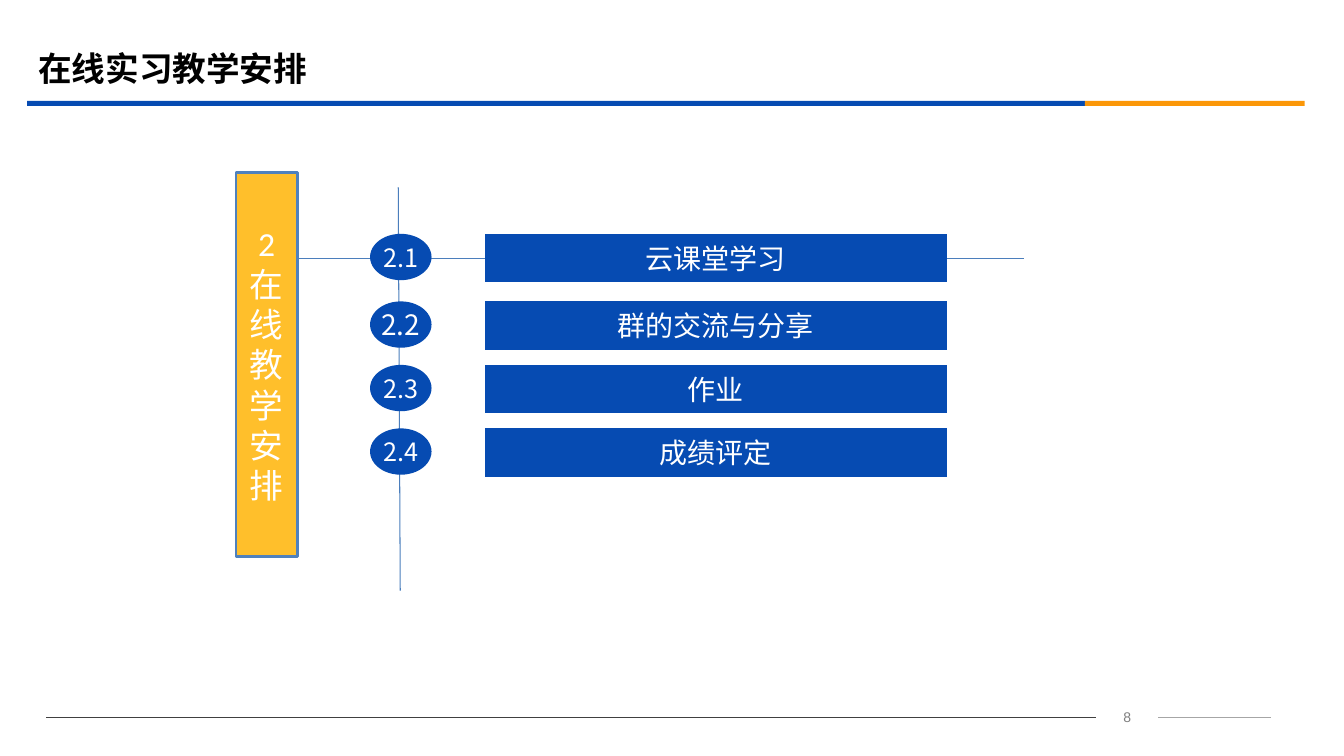
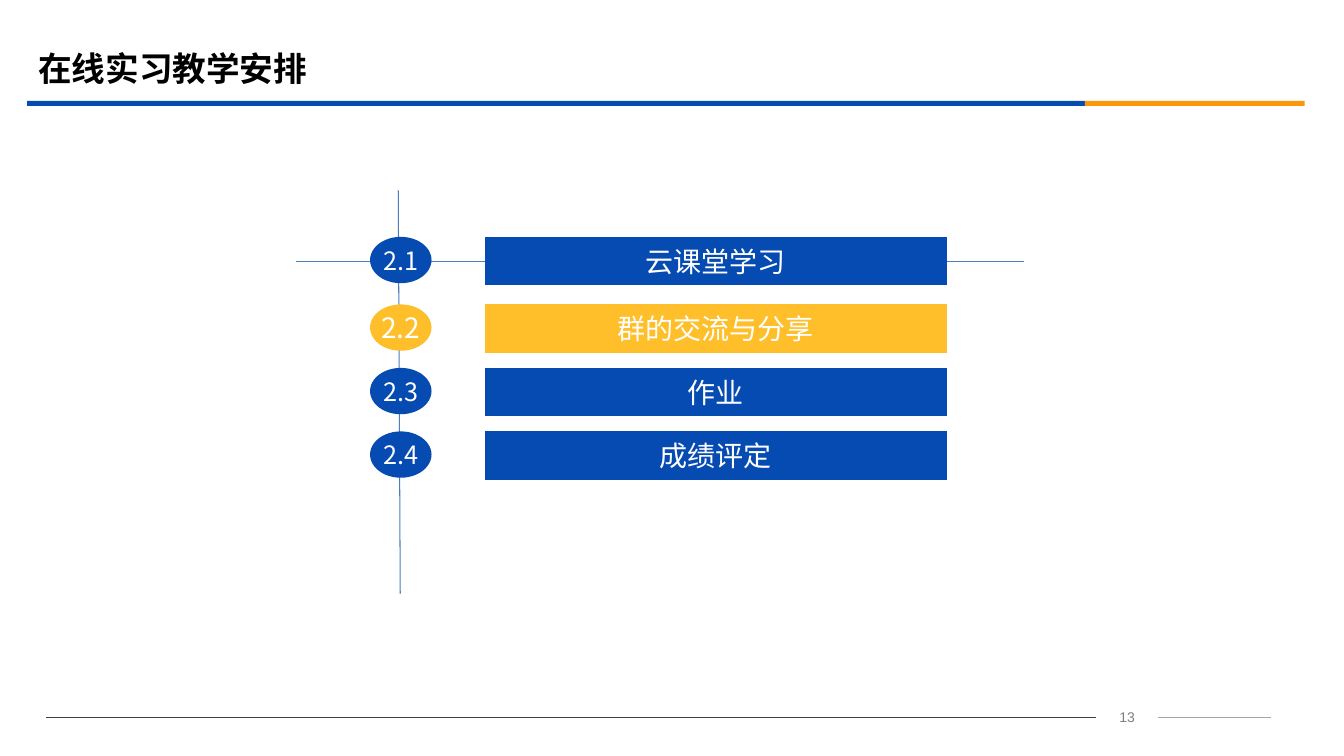
from lxml.etree import SubElement
from pptx import Presentation
from pptx.dml.color import RGBColor
from pptx.enum.shapes import MSO_CONNECTOR as Connector, MSO_SHAPE as Shape
from pptx.enum.text import MSO_ANCHOR as Anchor, PP_ALIGN as Align
from pptx.oxml.ns import qn
from pptx.util import Inches, Pt

BLUE, ORANGE, AMBER = "064BB2", "FB9708", "FFBF2B"
AXIS, FRAME = "4B7EBC", "4F81BD"
DARK, GREY, NUMBER = "404040", "A6A6A6", "7F7F7F"
WHITE, BLACK = "FFFFFF", "000000"
HAN, LATIN, NUMBER_FONT = "Noto Sans CJK SC", "Calibri", "Arial"

TITLE = "在线实习教学安排"
# Number, topic, distance below the first row, number size
TOPICS = [
    ("2.1", "云课堂学习", 0, 18),
    ("2.2", "群的交流与分享", 0.67, 20),
    ("2.3", "作业", 1.3, 18),
    ("2.4", "成绩评定", 1.93, 18),
]


def color(hex_string):
    return RGBColor.from_string(hex_string)


class Deck:
    def __init__(self):
        self.prs = Presentation()
        self.prs.slide_width = Inches(13.33)
        self.prs.slide_height = Inches(7.5)
        self.slide = None

    def new_slide(self, title, number):
        self.slide = self.prs.slides.add_slide(self.prs.slide_layouts[5])
        # Footer
        self.page_number(number)
        self.line(11.49, 7.12, 12.61, 7.12, GREY)
        self.line(0.46, 7.12, 10.87, 7.12, DARK)
        # Title with its two-colour band
        self.box(Shape.RECTANGLE, 0.27, 1, 10.49, 0.05, BLUE)
        self.box(Shape.RECTANGLE, 10.76, 1, 2.18, 0.05, ORANGE)
        self.title(title)

    def title(self, text):
        heading = self.slide.shapes.title
        heading.left, heading.top = Inches(0.28), Inches(0.39)
        heading.width, heading.height = Inches(12), Inches(0.58)
        self.set_text(heading.text_frame, [text], 24, BLACK, align=Align.LEFT, bold=True)

    def page_number(self, number):
        area = self.slide.shapes.add_textbox(
            Inches(10.87), Inches(6.99), Inches(0.62), Inches(0.25))
        self.set_text(area.text_frame, [str(number)], 10, NUMBER, NUMBER_FONT)

    def set_text(self, frame, lines, size, ink, font=HAN, align=Align.CENTER,
                 bold=False, wrap=True, spacing=None):
        frame.word_wrap = wrap
        frame.vertical_anchor = Anchor.MIDDLE
        frame.text = "\n".join(lines)
        for paragraph in frame.paragraphs:
            paragraph.alignment = align
            if spacing:
                paragraph.line_spacing = Pt(spacing)
            paragraph.font.size = Pt(size)
            paragraph.font.bold = bold
            paragraph.font.name = font
            paragraph.font.color.rgb = color(ink)
            # East Asian typeface
            for run in paragraph.runs:
                props = run.font._element
                SubElement(props, qn("a:latin")).set("typeface", font)
                SubElement(props, qn("a:ea")).set("typeface", HAN)

    def box(self, kind, left, top, width, height, fill, outline=None):
        shape = self.slide.shapes.add_shape(
            kind, Inches(left), Inches(top), Inches(width), Inches(height))
        shape.shadow.inherit = False
        shape.fill.solid()
        shape.fill.fore_color.rgb = color(fill)
        if outline:
            shape.line.color.rgb = color(outline)
            shape.line.width = Pt(2)
        else:
            shape.line.fill.background()
        return shape

    def line(self, x1, y1, x2, y2, ink):
        rule = self.slide.shapes.add_connector(
            Connector.STRAIGHT, Inches(x1), Inches(y1), Inches(x2), Inches(y2))
        rule.line.color.rgb = color(ink)
        rule.line.width = Pt(0.75)
        SubElement(rule._element.spPr, qn("a:effectLst"))

    def agenda(self, top, current=None):
        # Crossing axes behind the rows
        self.line(3.95, top - 0.46, 3.97, top + 3.54, AXIS)
        self.line(2.94, top + 0.24, 10.16, top + 0.24, AXIS)
        # Numbered topics
        for number, topic, offset, size in TOPICS:
            fill = AMBER if number == current else BLUE
            badge = self.box(Shape.OVAL, 3.67, top + offset, 0.61, 0.46, fill)
            self.set_text(badge.text_frame, [number], size, WHITE, wrap=False)
            bar = self.box(Shape.ACTION_BUTTON_CUSTOM, 4.81, top + offset, 4.58, 0.48, fill)
            self.set_text(bar.text_frame, [topic], 20, WHITE, wrap=False)

    def chapter(self, lines):
        panel = self.box(Shape.RECTANGLE, 2.34, 1.71, 0.61, 3.81, AMBER, FRAME)
        self.set_text(panel.text_frame, lines, 24, WHITE, LATIN, spacing=28.8)


def main():
    deck = Deck()

    # Chapter overview
    deck.new_slide(TITLE, 8)
    deck.agenda(2.32)
    deck.chapter(["2", "在线教学安排"])

    # Second topic highlighted
    deck.new_slide(TITLE, 13)
    deck.agenda(2.35, current="2.2")

    deck.prs.save("out.pptx")


if __name__ == "__main__":
    main()
